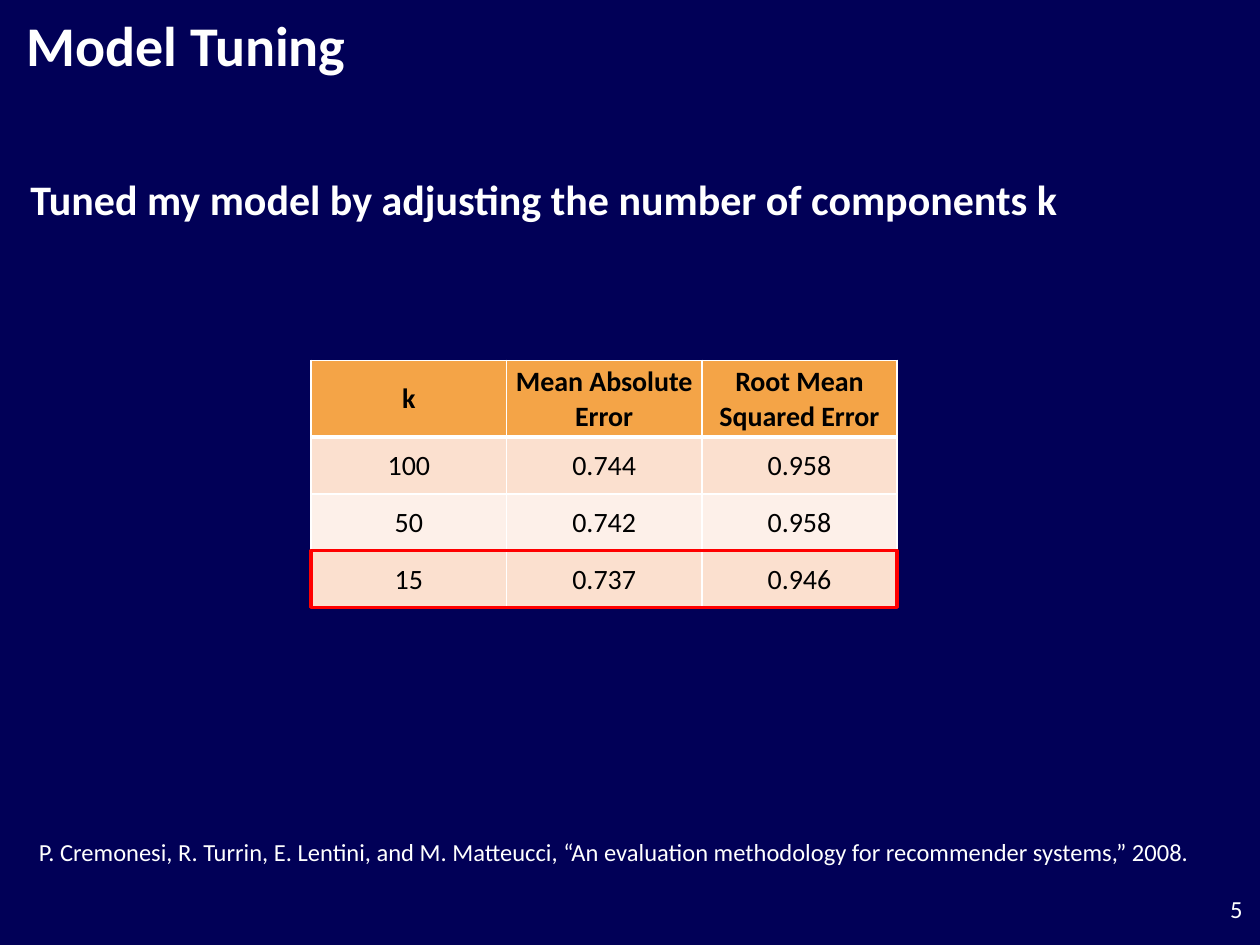
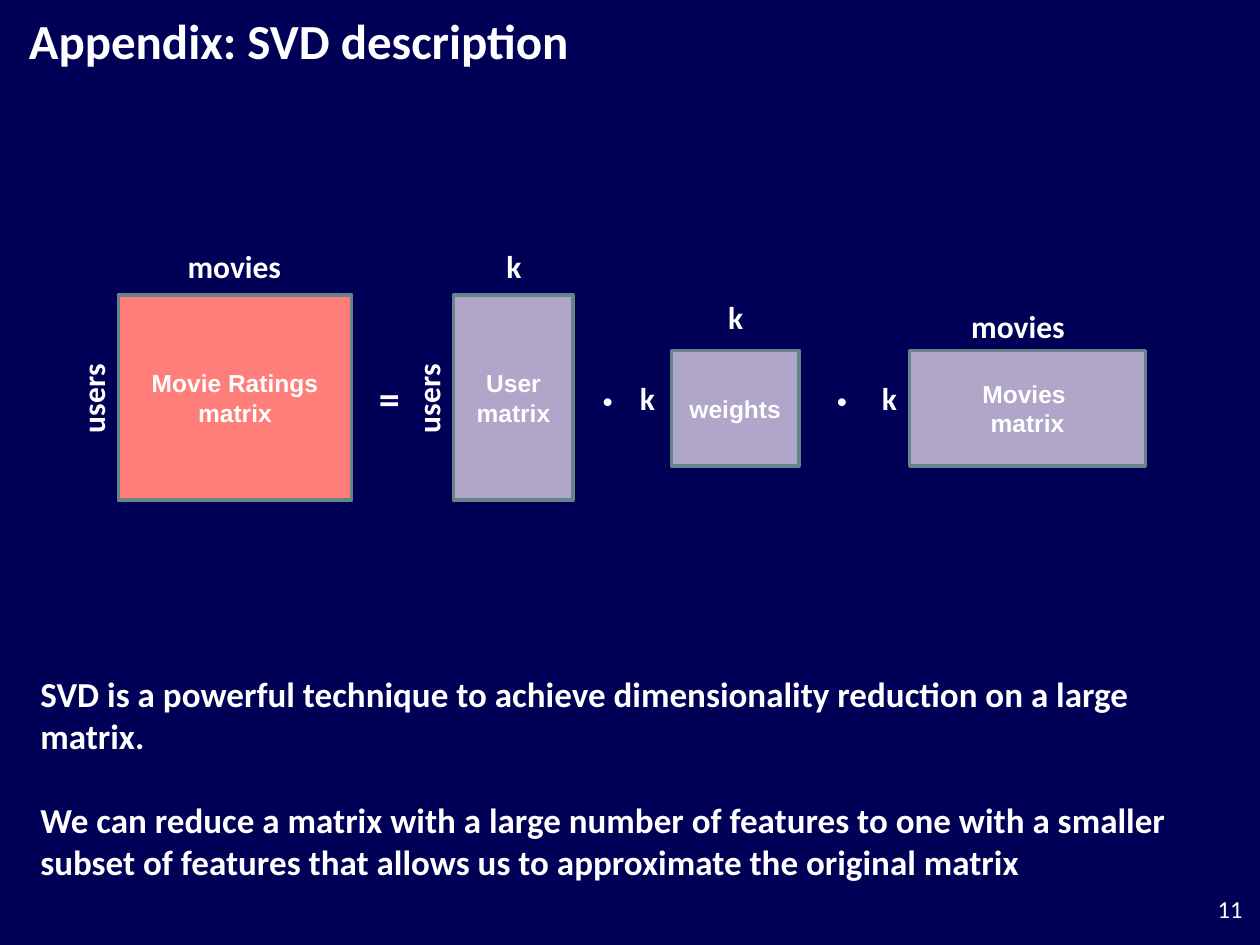
from dataclasses import dataclass

from lxml import etree
from pptx import Presentation
from pptx import util as u
from pptx.dml.color import RGBColor
from pptx.enum import shapes, text
from pptx.oxml import ns

NAVY = RGBColor(0x01, 0x00, 0x57)
WHITE = RGBColor(0xFF, 0xFF, 0xFF)
BLACK = RGBColor(0x00, 0x00, 0x00)
RED = RGBColor(0xFF, 0x00, 0x00)
ORANGE = RGBColor(0xF4, 0xA4, 0x47)
PEACH = RGBColor(0xFB, 0xE0, 0xCF)
CREAM = RGBColor(0xFD, 0xF0, 0xE9)
CORAL = RGBColor(0xFF, 0x7E, 0x79)
LILAC = RGBColor(0xAF, 0xA6, 0xCA)
SLATE = RGBColor(0x65, 0x85, 0x88)

LEFT, CENTER, RIGHT = text.PP_ALIGN.LEFT, text.PP_ALIGN.CENTER, text.PP_ALIGN.RIGHT
TOP, MIDDLE = text.MSO_ANCHOR.TOP, text.MSO_ANCHOR.MIDDLE
MARGINS = ("margin_left", "margin_top", "margin_right", "margin_bottom")

COLUMN_WIDTH = 1.55
HEADER_HEIGHT, ROW_HEIGHT = 0.61, 0.45
TABLE_LEFT, TABLE_TOP = 2.47, 2.86
TUNING_ROWS = [
    ("k", "Mean Absolute Error", "Root Mean Squared Error"),
    ("100", "0.744", "0.958"),
    ("50", "0.742", "0.958"),
    ("15", "0.737", "0.946"),
]


@dataclass(frozen=True)
class Box:
    left: float
    top: float
    width: float
    height: float

    def lengths(self) -> list:
        return [u.Inches(side) for side in (self.left, self.top, self.width, self.height)]


@dataclass(frozen=True)
class Style:
    size: float
    bold: bool = True
    name: str = "Calibri"
    color: RGBColor = WHITE
    align: int = LEFT
    anchor: int = TOP
    margins: tuple = (0.1, 0.05, 0.1, 0.05)
    wrap: bool = True
    gap: float = 0


@dataclass(frozen=True)
class Label:
    words: str
    box: Box
    style: Style
    rotation: float = 0


@dataclass(frozen=True)
class Matrix:
    lines: tuple
    box: Box
    fill: RGBColor = LILAC


FLUSH = (0, 0, 0, 0)
NUMBER = Style(14, bold=False, align=RIGHT, anchor=MIDDLE, margins=(0.1, 0.1, 0.1, 0.1))
CITATION = Style(14, bold=False)
DIMENSION = Style(18, wrap=False)
OPERATOR = Style(24, wrap=False)
MATRIX = Style(14, name="Arial", align=CENTER, anchor=MIDDLE)

USER_TOP, USER_HEIGHT = 2.34, 1.63
WEIGHT_TOP, WEIGHT_HEIGHT = 2.78, 0.92
SIDE_TOP, OPERATOR_TOP, UPPER_TOP = 2.96, 2.91, 1.91

MATRICES = [
    Matrix(("Movie Ratings", "matrix"), Box(0.94, USER_TOP, 1.85, USER_HEIGHT), CORAL),
    Matrix(("User matrix",), Box(3.6, USER_TOP, 0.95, USER_HEIGHT)),
    Matrix(("weights",), Box(5.33, WEIGHT_TOP, 1.01, WEIGHT_HEIGHT)),
    Matrix(("Movies ", "matrix"), Box(7.22, WEIGHT_TOP, 1.87, WEIGHT_HEIGHT)),
]
MATRIX_LABELS = [
    Label("users", Box(0.36, SIDE_TOP, 0.75, 0.4), DIMENSION, 270),
    Label("movies", Box(1.39, UPPER_TOP, 0.95, 0.4), DIMENSION),
    Label("=", Box(2.91, OPERATOR_TOP, 0.37, 0.5), OPERATOR),
    Label("users", Box(3.02, SIDE_TOP, 0.75, 0.4), DIMENSION, 270),
    Label("k", Box(3.92, UPPER_TOP, 0.32, 0.4), DIMENSION),
    Label("·", Box(4.68, OPERATOR_TOP, 0.29, 0.5), OPERATOR),
    Label("k", Box(4.98, SIDE_TOP, 0.32, 0.4), DIMENSION),
    Label("k", Box(5.68, 2.32, 0.32, 0.4), DIMENSION),
    Label("·", Box(6.54, OPERATOR_TOP, 0.29, 0.5), OPERATOR),
    Label("k", Box(6.9, SIDE_TOP, 0.32, 0.4), DIMENSION),
    Label("movies", Box(7.61, 2.39, 0.95, 0.4), DIMENSION),
]


def set_values(target, values: dict) -> None:
    for name, value in values.items():
        setattr(target, name, value)


def set_margins(target, margins: tuple) -> None:
    set_values(target, {name: u.Inches(size) for name, size in zip(MARGINS, margins)})


def format_paragraph(paragraph, style: Style) -> None:
    paragraph.alignment = style.align
    set_values(paragraph.font, {"name": style.name, "size": u.Pt(style.size), "bold": style.bold})
    paragraph.font.color.rgb = style.color


def write_text(shape, lines: tuple, style: Style, plain_list: bool = False) -> None:
    frame = shape.text_frame
    set_values(frame, {
        "auto_size": text.MSO_AUTO_SIZE.NONE,
        "word_wrap": style.wrap,
        "vertical_anchor": style.anchor,
    })
    set_margins(frame, style.margins)
    for index, line in enumerate(lines):
        paragraph = frame.add_paragraph() if index else frame.paragraphs[0]
        paragraph.text = line
        if plain_list:
            properties = paragraph._p.get_or_add_pPr()
            properties.set("marL", "0")
            properties.set("indent", "0")
            etree.SubElement(properties, ns.qn("a:buNone"))
        paragraph.space_before = u.Pt(style.gap if index else 0)
        format_paragraph(paragraph, style)


def place(shape, box: Box) -> None:
    set_values(shape, dict(zip(("left", "top", "width", "height"), box.lengths())))


def add_label(slide, label: Label) -> None:
    shape = slide.shapes.add_textbox(*label.box.lengths())
    shape.rotation = label.rotation
    write_text(shape, (label.words,), label.style)


def add_rectangle(slide, box: Box, line: RGBColor, fill: RGBColor | None = None):
    shape = slide.shapes.add_shape(shapes.MSO_SHAPE.RECTANGLE, *box.lengths())
    shape.shadow.inherit = False
    if fill is None:
        shape.fill.background()
    else:
        shape.fill.solid()
        shape.fill.fore_color.rgb = fill
    shape.line.color.rgb = line
    shape.line.width = u.Pt(2)
    return shape


def add_base_slide(presentation, title: Label, body: tuple, body_box: Box,
                   body_style: Style, number: int):
    slide = presentation.slides.add_slide(presentation.slide_layouts[1])
    place(slide.shapes.title, title.box)
    write_text(slide.shapes.title, (title.words,), title.style)
    body_shape = slide.placeholders[1]
    place(body_shape, body_box)
    write_text(body_shape, body, body_style, plain_list=True)
    add_label(slide, Label(str(number), Box(9.36, 6.93, 0.6, 0.57), NUMBER))
    return slide


def set_borders(cell, widths: dict) -> None:
    properties = cell._tc.get_or_add_tcPr()
    for index, (side, width) in enumerate(widths.items()):
        line = etree.Element(ns.qn(f"a:{side}"), w=str(u.Pt(width)))
        fill = etree.SubElement(line, ns.qn("a:solidFill"))
        etree.SubElement(fill, ns.qn("a:srgbClr"), val=str(WHITE))
        properties.insert(index, line)


def add_tuning_table(slide) -> None:
    columns = len(TUNING_ROWS[0])
    body_rows = len(TUNING_ROWS) - 1
    width = COLUMN_WIDTH * columns
    box = Box(TABLE_LEFT, TABLE_TOP, width, HEADER_HEIGHT + ROW_HEIGHT * body_rows)
    table = slide.shapes.add_table(len(TUNING_ROWS), columns, *box.lengths()).table
    set_values(table, {"first_row": False, "horz_banding": False})
    for column in table.columns:
        column.width = u.Inches(COLUMN_WIDTH)
    for row_index, values in enumerate(TUNING_ROWS):
        header = row_index == 0
        table.rows[row_index].height = u.Inches(HEADER_HEIGHT if header else ROW_HEIGHT)
        fill = ORANGE if header else (CREAM, PEACH)[row_index % 2]
        style = Style(16, bold=header, color=BLACK, align=CENTER)
        borders = {"lnL": 1, "lnR": 1, "lnT": 3 if row_index == 1 else 1, "lnB": 3 if header else 1}
        for column_index, value in enumerate(values):
            cell = table.cell(row_index, column_index)
            cell.text = value
            cell.vertical_anchor = MIDDLE
            set_margins(cell, (0.01, 0.01, 0.01, 0))
            cell.fill.solid()
            cell.fill.fore_color.rgb = fill
            set_borders(cell, borders)
            format_paragraph(cell.text_frame.paragraphs[0], style)
    best_top = TABLE_TOP + HEADER_HEIGHT + ROW_HEIGHT * (body_rows - 1)
    add_rectangle(slide, Box(TABLE_LEFT, best_top, width, ROW_HEIGHT), RED)


def build_tuning_slide(presentation) -> None:
    slide = add_base_slide(
        presentation,
        Label("Model Tuning", Box(0.21, 0.08, 9.56, 0.55), Style(32, margins=FLUSH)),
        ("Tuned my model by adjusting the number of components k",),
        Box(0.24, 1.38, 8.86, 0.81), Style(24, margins=FLUSH), 5)
    add_tuning_table(slide)
    add_label(slide, Label(
        "P. Cremonesi, R. Turrin, E. Lentini, and M. Matteucci, "
        "“An evaluation methodology for recommender systems,” 2008.",
        Box(0.21, 6.59, 9.45, 0.34), CITATION))


def build_svd_slide(presentation) -> None:
    slide = add_base_slide(
        presentation,
        Label("Appendix: SVD description", Box(0.23, 0.08, 9.54, 0.47), Style(28, margins=FLUSH)),
        ("SVD is a powerful technique to achieve dimensionality reduction on a large matrix.",
         "We can reduce a matrix with a large number of features to one with a smaller "
         "subset of features that allows us to approximate the original matrix"),
        Box(0.32, 5.34, 9.12, 2.02), Style(20, margins=FLUSH, gap=24), 11)
    for matrix in MATRICES:
        write_text(add_rectangle(slide, matrix.box, SLATE, matrix.fill), matrix.lines, MATRIX)
    for label in MATRIX_LABELS:
        add_label(slide, label)


def main() -> None:
    presentation = Presentation()
    set_values(presentation, {"slide_width": u.Inches(10), "slide_height": u.Inches(7.5)})
    background = presentation.slide_master.background.fill
    background.solid()
    background.fore_color.rgb = NAVY
    build_tuning_slide(presentation)
    build_svd_slide(presentation)
    presentation.save("out.pptx")


if __name__ == "__main__":
    main()
